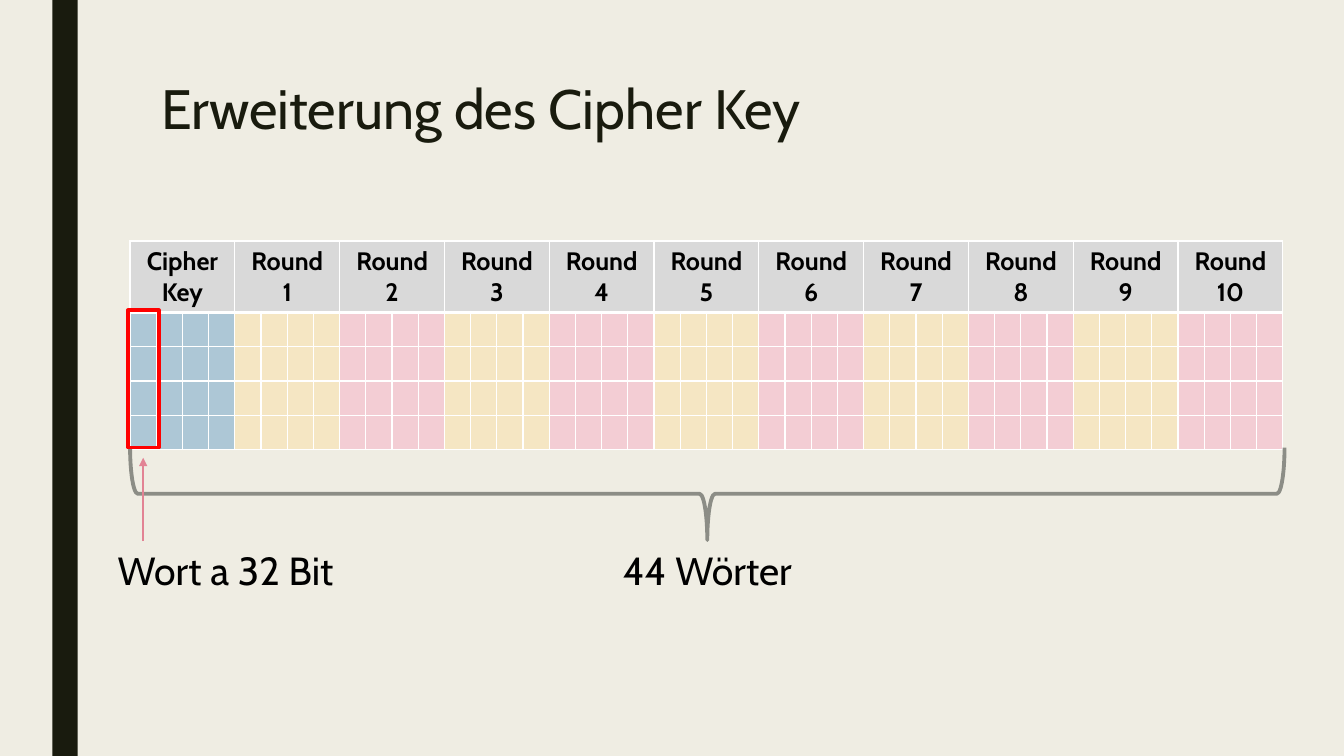
from dataclasses import dataclass

from lxml import etree
from pptx import Presentation
from pptx.dml.color import RGBColor
from pptx.enum.shapes import MSO_CONNECTOR, MSO_SHAPE
from pptx.enum.text import MSO_ANCHOR, MSO_AUTO_SIZE, PP_ALIGN
from pptx.oxml.ns import qn
from pptx.util import Inches, Pt

RECTANGLE = MSO_SHAPE.RECTANGLE
LEFT_BRACE = MSO_SHAPE.LEFT_BRACE
STRAIGHT = MSO_CONNECTOR.STRAIGHT
LEFT, CENTER = PP_ALIGN.LEFT, PP_ALIGN.CENTER
MIDDLE = MSO_ANCHOR.MIDDLE
FIXED_SIZE, GROW = MSO_AUTO_SIZE.NONE, MSO_AUTO_SIZE.SHAPE_TO_FIT_TEXT

SLIDE_WIDTH, SLIDE_HEIGHT = Inches(13.33), Inches(7.5)
WORDS_PER_KEY, BYTES_PER_WORD = 4, 4
KEY_LEFT, KEY_TOP, KEY_WIDTH = Inches(1.29), Inches(3.08), Inches(11.45)
HEADER_HEIGHT, BYTE_HEIGHT = Inches(0.69), Inches(0.34)
FONT = "Cabin"
DARK, BLACK, WHITE, GREY = "191B0E", "000000", "FFFFFF", "D9D9D9"
BLUE, YELLOW, PINK = "ADC7D6", "F5E6C3", "F3CDD4"


@dataclass(frozen=True)
class KeyBlock:
    heading: str
    fill: str


@dataclass(frozen=True)
class Label:
    text: str
    column: float
    columns: float


KEY_BLOCKS = [KeyBlock("Cipher Key", BLUE)] + [
    KeyBlock(f"Round {number}", YELLOW if number % 2 else PINK)
    for number in range(1, 11)
]
WORD_COUNT = len(KEY_BLOCKS) * WORDS_PER_KEY
WORD_WIDTH = KEY_WIDTH / WORD_COUNT
LABELS = [Label("44 Wörter", 18.4, 7.2), Label("Wort a 32 Bit", -0.85, 9.2)]
LABEL_ROW, LABEL_ROWS = 6.73, 1.68


def color(value: str) -> RGBColor:
    return RGBColor.from_string(value)


def across(columns: float) -> int:
    return round(columns * WORD_WIDTH)


def down(rows: float) -> int:
    return round(rows * BYTE_HEIGHT)


def column_x(column: float) -> int:
    return KEY_LEFT + across(column)


def row_y(row: float) -> int:
    return KEY_TOP + down(row)


def write(frame, text: str, *, size: float, ink: str = BLACK,
          bold: bool = False, align=LEFT, spacing: float = 1.0) -> None:
    paragraph = frame.paragraphs[0]
    paragraph.alignment = align
    paragraph.line_spacing = spacing
    run = paragraph.add_run()
    run.text = text
    run.font.name = FONT
    run.font.size = Pt(size)
    run.font.bold = bold
    run.font.color.rgb = color(ink)


def add_figure(slide, preset, left: int, top: int, width: int, height: int, *,
               fill: str = "", line: str = "", weight: float = 2.75):
    figure = slide.shapes.add_shape(preset, left, top, width, height)
    figure.shadow.inherit = False
    if fill:
        figure.fill.solid()
        figure.fill.fore_color.rgb = color(fill)
    else:
        figure.fill.background()
    if line:
        figure.line.color.rgb = color(line)
        figure.line.width = Pt(weight)
    else:
        figure.line.fill.background()
    return figure


def format_cell(cell, fill: str, bottom_weight: float) -> None:
    properties = cell._tc.get_or_add_tcPr()
    for side, weight in (("L", 1), ("R", 1), ("T", 1), ("B", bottom_weight)):
        border = etree.SubElement(properties, qn(f"a:ln{side}"), w=str(Pt(weight)))
        paint = etree.SubElement(border, qn("a:solidFill"))
        etree.SubElement(paint, qn("a:srgbClr"), val=WHITE)
    cell.fill.solid()
    cell.fill.fore_color.rgb = color(fill)


def add_title(slide, text: str) -> None:
    title = slide.shapes.title
    title.left, title.top = Inches(1.5), Inches(0.75)
    title.width, title.height = Inches(10.5), Inches(0.72)
    frame = title.text_frame
    frame.word_wrap = True
    frame.auto_size = FIXED_SIZE
    frame.vertical_anchor = MIDDLE
    write(frame, text, size=39.6, ink=DARK, spacing=0.89)


def add_key_table(slide) -> None:
    table = slide.shapes.add_table(
        BYTES_PER_WORD + 1, WORD_COUNT, KEY_LEFT, KEY_TOP - HEADER_HEIGHT,
        KEY_WIDTH, HEADER_HEIGHT + down(BYTES_PER_WORD)).table
    for column in table.columns:
        column.width = across(1)
    for index, row in enumerate(table.rows):
        row.height = BYTE_HEIGHT if index else HEADER_HEIGHT
        for word, cell in enumerate(row.cells):
            block = KEY_BLOCKS[word // WORDS_PER_KEY]
            format_cell(cell, block.fill if index else GREY, 1 if index else 3)
            if index:
                cell.margin_left = cell.margin_right = 0
                cell.margin_top = cell.margin_bottom = 0
    for index, block in enumerate(KEY_BLOCKS):
        first = index * WORDS_PER_KEY
        heading = table.cell(0, first)
        heading.merge(table.cell(0, first + WORDS_PER_KEY - 1))
        write(heading.text_frame, block.heading, size=18, bold=True, align=CENTER)


def add_brace(slide) -> None:
    depth = down(2.7)
    middle_x, middle_y = column_x(WORD_COUNT / 2), row_y(BYTES_PER_WORD) + depth // 2
    brace = add_figure(slide, LEFT_BRACE, middle_x - depth // 2,
                       middle_y - KEY_WIDTH // 2, depth, KEY_WIDTH, line="8C8D86")
    brace.rotation = 270


def add_word_arrow(slide) -> None:
    arrow = slide.shapes.add_connector(
        STRAIGHT, column_x(0.5), row_y(LABEL_ROW), column_x(0.5), row_y(4.3))
    arrow.line.color.rgb = color("E28394")
    arrow.line.width = Pt(1.5)
    etree.SubElement(arrow.line._get_or_add_ln(), qn("a:tailEnd"), type="triangle")
    etree.SubElement(arrow._element.spPr, qn("a:effectLst"))


def add_label(slide, label: Label) -> None:
    frame = slide.shapes.add_textbox(
        column_x(label.column), row_y(LABEL_ROW),
        across(label.columns), down(LABEL_ROWS)).text_frame
    frame.word_wrap = False
    frame.auto_size = GROW
    write(frame, label.text, size=28)


def main() -> None:
    deck = Presentation()
    deck.slide_width, deck.slide_height = SLIDE_WIDTH, SLIDE_HEIGHT
    slide = deck.slides.add_slide(deck.slide_layouts.get_by_name("Title Only"))
    slide.background.fill.solid()
    slide.background.fill.fore_color.rgb = color("EFEDE3")
    add_figure(slide, RECTANGLE, Inches(0.52), 0, Inches(0.25), SLIDE_HEIGHT, fill=DARK)
    add_title(slide, "Erweiterung des Cipher Key")
    add_key_table(slide)
    add_brace(slide)
    add_word_arrow(slide)
    for label in LABELS:
        add_label(slide, label)
    add_figure(slide, RECTANGLE, column_x(-0.08), row_y(0), across(1.18),
               down(BYTES_PER_WORD), line="FF0000")
    deck.save("out.pptx")


if __name__ == "__main__":
    main()
